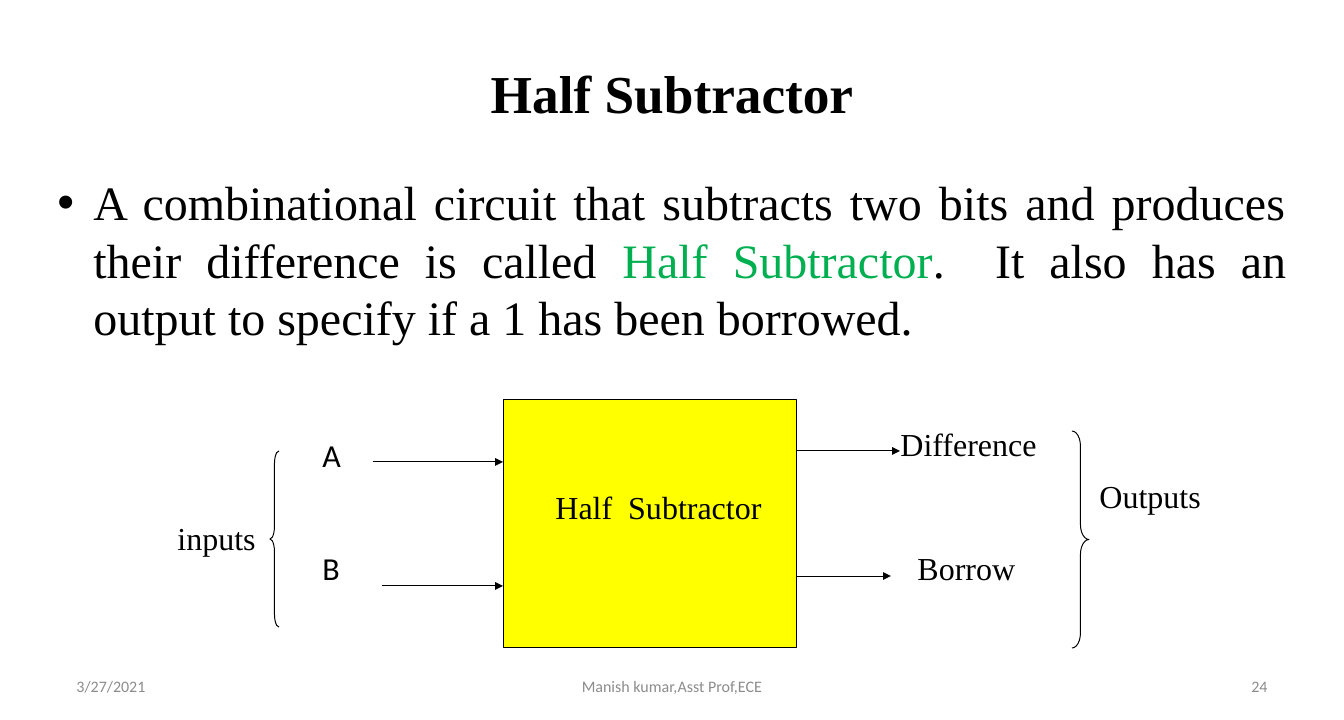
from dataclasses import dataclass

from lxml import etree
from pptx import Presentation
from pptx.dml.color import RGBColor
from pptx.enum.shapes import MSO_CONNECTOR, MSO_SHAPE
from pptx.enum.text import MSO_ANCHOR, PP_ALIGN
from pptx.oxml.ns import qn
from pptx.util import Emu, Pt

LEFT, MID, RIGHT, JUST = PP_ALIGN.LEFT, PP_ALIGN.CENTER, PP_ALIGN.RIGHT, PP_ALIGN.JUSTIFY
TOP, CENTER = MSO_ANCHOR.TOP, MSO_ANCHOR.MIDDLE
RECT, OPEN, CLOSE = MSO_SHAPE.RECTANGLE, MSO_SHAPE.LEFT_BRACE, MSO_SHAPE.RIGHT_BRACE
STRAIGHT = MSO_CONNECTOR.STRAIGHT
PX = 9525  # EMU in one px


@dataclass(frozen=True)
class Theme:
    ink: str = "000000"
    term: str = "00B050"
    block: str = "FFFF00"
    gray: str = "8C8C8C"
    serif: str = "Times New Roman"
    sans: str = "Calibri"
    title: int = 40
    body: int = 36
    label: int = 24
    foot: int = 12
    line: float = 0.75


THEME = Theme()


def px(*nums):
    return [Emu(n * PX) for n in nums]


def rgb(code):
    return RGBColor.from_string(code)


def add_text(slide, box, text, size=THEME.label, font=THEME.serif, color=THEME.ink,
             bold=False, align=LEFT, anchor=TOP, bullet=None):
    """Text is a string or a list of (string, color) runs."""
    frame = slide.shapes.add_textbox(*px(*box)).text_frame
    frame.word_wrap = True
    frame.vertical_anchor = anchor
    para = frame.paragraphs[0]
    para.alignment = align
    if bullet:
        props = para._p.get_or_add_pPr()
        props.set("marL", str(36 * PX))
        props.set("indent", str(-36 * PX))
        etree.SubElement(props, qn("a:buFont")).set("typeface", "Arial")
        etree.SubElement(props, qn("a:buChar")).set("char", bullet)
    for part, tint in [(text, color)] if isinstance(text, str) else text:
        run = para.add_run()
        run.text = part
        run.font.name = font
        run.font.size = Pt(size)
        run.font.bold = bold
        run.font.color.rgb = rgb(tint)


def add_form(slide, kind, box, fill=None, bend=None):
    form = slide.shapes.add_shape(kind, *px(*box))
    form.shadow.inherit = False
    if fill:
        form.fill.solid()
        form.fill.fore_color.rgb = rgb(fill)
    else:
        form.fill.background()
    form.line.color.rgb = rgb(THEME.ink)
    form.line.width = Pt(THEME.line)
    if bend:
        form.adjustments[0] = bend


def add_arrow(slide, start, end, y):
    arrow = slide.shapes.add_connector(STRAIGHT, *px(start, y, end, y))
    arrow.line.color.rgb = rgb(THEME.ink)
    arrow.line.width = Pt(THEME.line)
    etree.SubElement(arrow.line._get_or_add_ln(), qn("a:tailEnd")).set("type", "triangle")
    etree.SubElement(arrow._element.spPr, qn("a:effectLst"))


def add_title(slide, box):
    add_text(slide, box, "Half Subtractor", size=THEME.title, bold=True,
             align=MID, anchor=CENTER)


def add_body(slide, box):
    runs = [
        ("A combinational circuit that subtracts two bits and produces "
         "their difference is called ", THEME.ink),
        ("Half Subtractor", THEME.term),
        (".  It also has an output to specify if a 1 has been borrowed.", THEME.ink),
    ]
    add_text(slide, box, runs, size=THEME.body, align=JUST, bullet="•")


def add_diagram(slide, box):
    left, top = box[:2]

    def at(x, y, wide, high):
        return left + x, top + y, wide, high

    # Block
    add_form(slide, RECT, at(336, 0, 293, 248), fill=THEME.block)

    # Input and output arrows
    for start, end, y in [(205, 335, 62), (214, 335, 186), (628, 732, 51), (628, 723, 176)]:
        add_arrow(slide, left + start, left + end, top + y)

    # Braces
    add_form(slide, OPEN, at(102, 51, 9, 176), bend=1.42)
    add_form(slide, CLOSE, at(904, 31, 17, 217), bend=0.88)

    # Labels
    for text, x, y, wide, font in [
        ("Half  Subtractor", 378, 83, 258, THEME.serif),
        ("inputs", 0, 114, 110, THEME.serif),
        ("A", 145, 31, 52, THEME.sans),
        ("B", 145, 144, 52, THEME.sans),
        ("Difference", 723, 20, 199, THEME.serif),
        ("Borrow", 740, 144, 138, THEME.serif),
        ("Outputs", 922, 72, 127, THEME.serif),
    ]:
        add_text(slide, at(x, y, wide, 48), text, font=font)


def add_footer(slide, box):
    left, top, wide, high = box
    side, mid = 314, 426
    for text, x, span, align in [
        ("3/27/2021", 0, side, LEFT),
        ("Manish kumar,Asst Prof,ECE", (wide - mid) // 2, mid, MID),
        ("24", wide - side, side, RIGHT),
    ]:
        add_text(slide, (left + x, top, span, high), text, size=THEME.foot,
                 font=THEME.sans, color=THEME.gray, align=align, anchor=CENTER)


def main():
    deck = Presentation()
    deck.slide_width, deck.slide_height = px(1344, 720)
    slide = deck.slides.add_slide(deck.slide_layouts[6])
    add_title(slide, (0, 32, 1344, 120))
    add_body(slide, (48, 168, 1248, 451))
    add_diagram(slide, (168, 400, 1049, 248))
    add_footer(slide, (67, 667, 1210, 38))
    deck.save("out.pptx")


if __name__ == "__main__":
    main()
